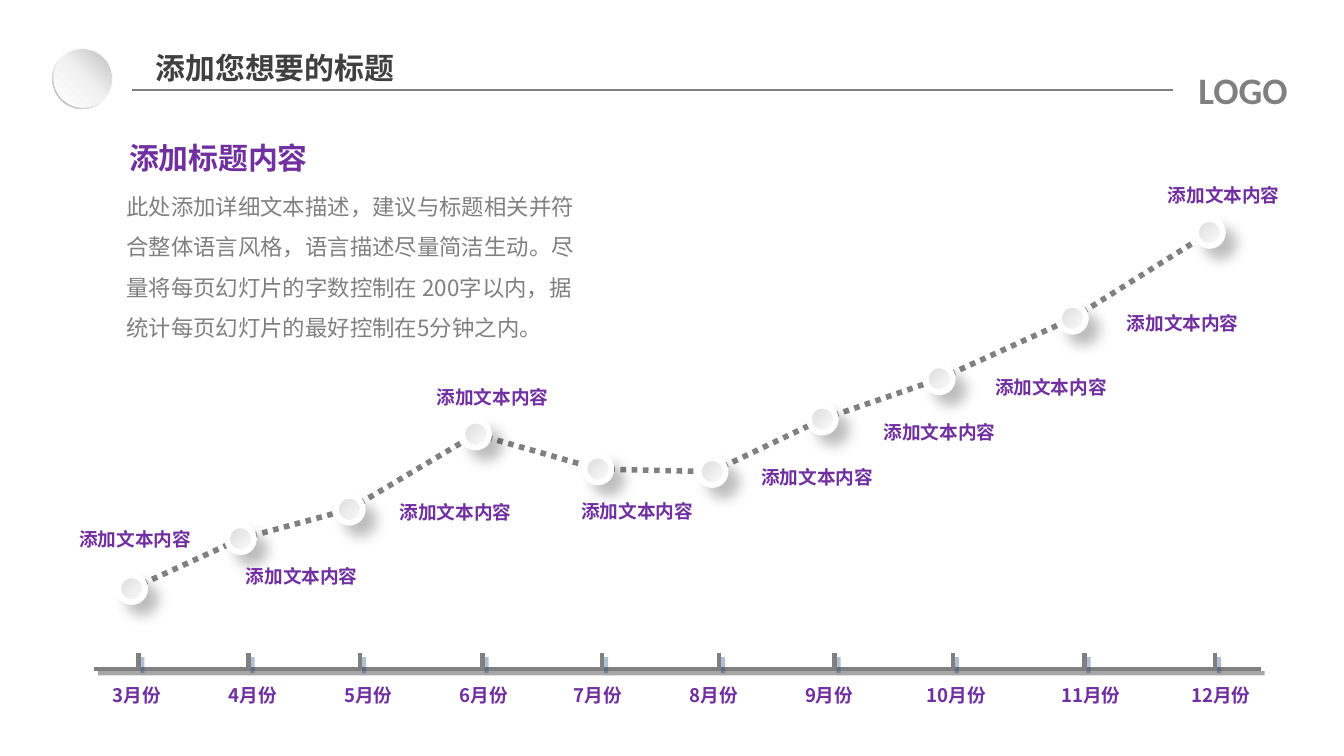
"""Build a monthly timeline slide with a dotted trend line."""
from itertools import pairwise

from lxml import etree
from pptx import Presentation
from pptx import dml
from pptx import util as u
from pptx.dml import color, line as lines
from pptx.enum import dml as styles, shapes, text
from pptx.oxml import ns

SANS = "Noto Sans CJK SC"
PURPLE, GRAY, DARK = "7030A0", "808080", "404040"

TITLE = "添加您想要的标题"
HEADING = "添加标题内容"
BODY = ("此处添加详细文本描述，建议与标题相关并符合整体语言风格，语言描述尽量简洁生动。"
        "尽量将每页幻灯片的字数控制在 200字以内，据统计每页幻灯片的最好控制在5分钟之内。")
CAPTION = "添加文本内容"

# month, marker centre, tick x, month centre x, caption centre x and top
MONTHS = [
    ("3月份", (70.6, 315.4), 74.2, 73.4, (72.4, 274.3)),
    ("4月份", (128.9, 288.7), 133.2, 135.4, (161.6, 293.8)),
    ("5月份", (187.2, 272.9), 193, 197.3, (244.1, 259.9)),
    ("6月份", (254.9, 232.6), 258.5, 259.2, (263.9, 198)),
    ("7月份", (320.4, 251.3), 322.6, 320.4, (341.3, 259.2)),
    ("8月份", (381.6, 252.7), 385.2, 382.3, (437.8, 241.2)),
    ("9月份", (440.6, 224.6), 447.1, 444.2, (503.3, 216.7)),
    ("10月份", (503.3, 203), 510.5, 512.3, (563, 193)),
    ("11月份", (574.6, 170.6), 581, 584.3, (633.6, 158.4)),
    ("12月份", (648, 124.6), 650.9, 654.1, (655.6, 90)),
]
MARKER_SIZE = 14.4
AXIS_Y, TICK_TOP = 358.6, 349.9
MONTH_BOX, CAPTION_BOX = (58, 17.3), (98.6, 21.6)


def rgb(value):
    """Turn a hex string into a colour."""
    return color.RGBColor.from_string(value)


def add_element(parent, tag, **attributes):
    """Append a drawing element to a parent."""
    return etree.SubElement(parent, ns.qn(tag), {key: str(value) for key, value in attributes.items()})


def add_effects(properties, shadow=None):
    """Give shape properties an outer shadow, or an empty effect list."""
    effects = add_element(properties, "a:effectLst")
    if shadow:
        value, alpha, blur, distance = shadow
        outer = add_element(effects, "a:outerShdw", blurRad=u.Pt(blur), dist=u.Pt(distance),
                            dir=45 * 60000, algn="tl", rotWithShape=0)
        shade = add_element(outer, "a:srgbClr", val=value)
        add_element(shade, "a:alpha", val=alpha * 1000)


def add_line(slide, start, end, width, dash=None, shadow=None):
    """Draw a straight gray line."""
    ends = [u.Pt(value) for value in (*start, *end)]
    connector = slide.shapes.add_connector(shapes.MSO_CONNECTOR.STRAIGHT, *ends)
    connector.line.color.rgb = rgb(GRAY)
    connector.line.width = u.Pt(width)
    if dash:
        connector.line.dash_style = dash
    add_effects(connector._element.spPr, shadow)


def add_round(parent, kind, center, size, stops, angle, outline=None, shadow=None):
    """Draw a round shape with a gradient fill."""
    left, top = (value - size / 2 for value in center)
    shape = parent.shapes.add_shape(kind, u.Pt(left), u.Pt(top), u.Pt(size), u.Pt(size))
    shape.fill.gradient()
    properties = shape._element.spPr
    gradient = properties.find(ns.qn("a:gradFill"))
    gradient.clear()
    stop_list = add_element(gradient, "a:gsLst")
    for position, value in stops:
        add_element(add_element(stop_list, "a:gs", pos=position * 1000), "a:srgbClr", val=value)
    add_element(gradient, "a:lin", ang=angle * 60000, scaled=0)
    if outline:
        shape.line.color.rgb = rgb(outline)
        shape.line.width = u.Pt(3)
    else:
        shape.line.fill.background()
    add_effects(properties, shadow)
    return shape


def write(shape, content, size=10, value=PURPLE, font=SANS, bold=True, centered=False,
          spacing=1.0, insets=(5.1, 2.6, 5.1, 2.6)):
    """Put formatted text in a shape."""
    frame = shape.text_frame
    frame.word_wrap = True
    frame.auto_size = text.MSO_AUTO_SIZE.NONE
    frame.vertical_anchor = text.MSO_ANCHOR.TOP
    frame.margin_left, frame.margin_top, frame.margin_right, frame.margin_bottom = map(u.Pt, insets)
    paragraph = frame.paragraphs[0]
    paragraph.alignment = text.PP_ALIGN.CENTER if centered else text.PP_ALIGN.LEFT
    paragraph.line_spacing = spacing
    run = paragraph.add_run()
    run.text = content
    run.font.size, run.font.bold, run.font.name = u.Pt(size), bold, font
    run.font.color.rgb = rgb(value)
    add_element(run.font._element, "a:ea", typeface=font)


def add_text(slide, content, left, top, width, height, **style):
    """Add a text box."""
    box = slide.shapes.add_textbox(u.Pt(left), u.Pt(top), u.Pt(width), u.Pt(height))
    write(box, content, **style)


def add_header(slide):
    """Add the badge, the title, the rule and the logo word."""
    title = slide.shapes.title
    title.left, title.top, title.width, title.height = map(u.Pt, (76.3, 23, 221, 26.6))
    wide = (7.2, 3.6, 7.2, 3.6)
    write(title, TITLE, size=16, value=DARK, insets=wide)
    badge = slide.shapes.add_group_shape()
    center = (44.3, 42.1)
    ring = add_round(badge, shapes.MSO_SHAPE.DONUT, center, 32.4,
                     [(0, "FFFFFF"), (55, "F2F2F2"), (100, "A6A6A6")], 135)
    ring.adjustments[0] = 0.05
    add_round(badge, shapes.MSO_SHAPE.OVAL, center, 31,
              [(0, "FFFFFF"), (51, "F2F2F2"), (100, "BFBFBF")], 315)
    add_line(slide, (70.6, 48.2), (628.6, 48.2), 1.25)
    add_text(slide, "LOGO", 620.6, 32.4, 90.7, 31.7, size=20, value=GRAY, font="Calibri",
             centered=True, insets=wide)


def add_timeline(slide):
    """Add the trend line, the axis, the markers and their labels."""
    centers = [month[1] for month in MONTHS]
    for start, end in pairwise(centers):
        add_line(slide, start, end, 3, dash=styles.MSO_LINE.ROUND_DOT)
    add_line(slide, (675.4, AXIS_Y), (50.4, AXIS_Y), 2.25, shadow=("000000", 35, 0, 3))
    for name, center, tick, name_x, (caption_x, caption_top) in MONTHS:
        add_line(slide, (tick, TICK_TOP), (tick, AXIS_Y), 2.25, shadow=("1F497D", 35, 0, 3))
        add_round(slide, shapes.MSO_SHAPE.OVAL, center, MARKER_SIZE,
                  [(0, "D9D9D9"), (100, "FFFFFF")], 45, outline="FFFFFF",
                  shadow=("000000", 25, 7, 8))
        add_text(slide, name, name_x - MONTH_BOX[0] / 2, 363.6, *MONTH_BOX, centered=True)
        add_text(slide, CAPTION, caption_x - CAPTION_BOX[0] / 2, caption_top, *CAPTION_BOX,
                 centered=True, spacing=1.5)


def main():
    """Build and save the slide."""
    presentation = Presentation()
    presentation.slide_width, presentation.slide_height = u.Pt(720), u.Pt(405)
    slide = presentation.slides.add_slide(presentation.slide_layouts[5])
    add_header(slide)
    add_timeline(slide)
    add_text(slide, BODY, 62.6, 93.6, 257.8, 92.9, size=12, value=GRAY, bold=False,
             spacing=1.5, insets=(5.1, 2.6, 11, 2.6))
    add_text(slide, HEADING, 64.1, 72, 124.6, 25.2, size=16)
    presentation.save("out.pptx")


if __name__ == "__main__":
    main()
